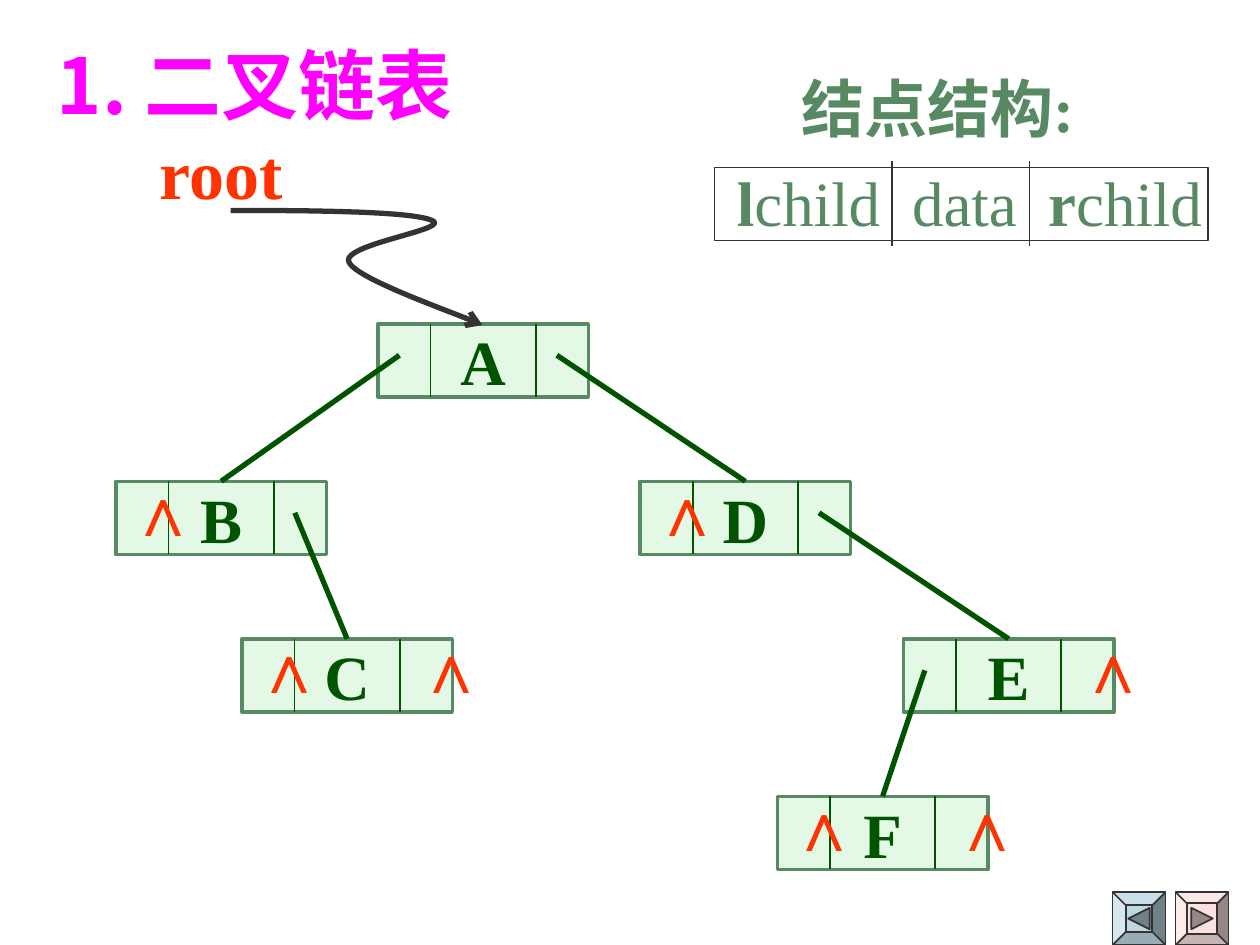
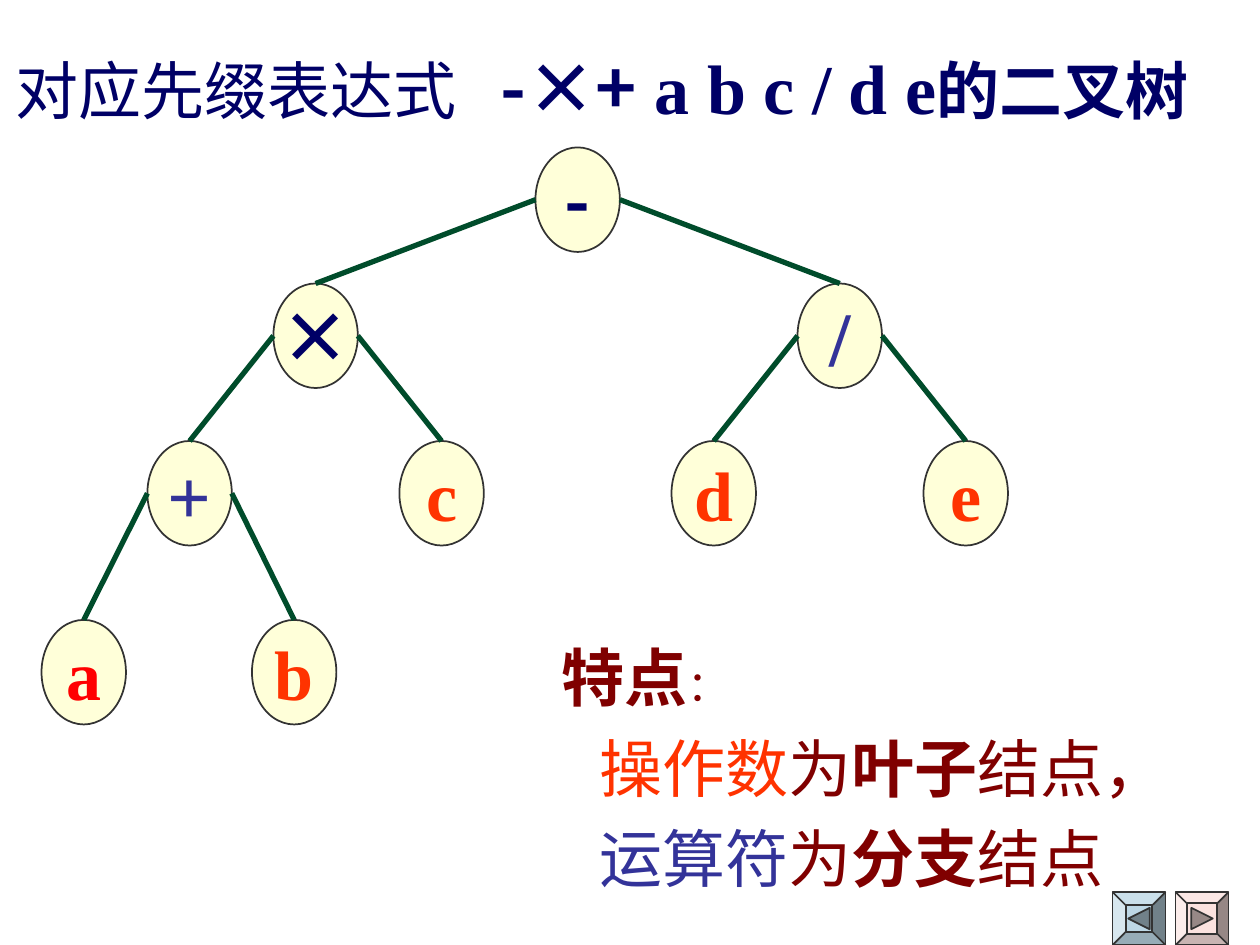
import pptx
import pptx.dml.color
import pptx.enum.dml
import pptx.enum.shapes
import pptx.enum.text
import pptx.oxml
import pptx.oxml.ns
import pptx.util
from lxml import etree

Inches = pptx.util.Inches
Pt = pptx.util.Pt
RGB = pptx.dml.color.RGBColor
SHAPE = pptx.enum.shapes.MSO_SHAPE
ALIGN = pptx.enum.text.PP_ALIGN
qn = pptx.oxml.ns.qn

SERIF = "Times New Roman"
SANS = "Arial"
CJK = "Noto Sans CJK SC"

INK = RGB(0x33, 0x33, 0x33)
DARK_GREEN = RGB(0x00, 0x54, 0x00)
EDGE_GREEN = RGB(0x00, 0x4C, 0x2B)
SAGE = RGB(0x57, 0x89, 0x63)
MINT = RGB(0xCA, 0xF2, 0xCE)
CREAM = RGB(0xFF, 0xFF, 0xD9)
ORANGE = RGB(0xFF, 0x33, 0x00)
RED = RGB(0xFF, 0x00, 0x00)
MAGENTA = RGB(0xFF, 0x00, 0xFF)
NAVY = RGB(0x00, 0x00, 0x66)
INDIGO = RGB(0x33, 0x33, 0x99)
MAROON = RGB(0x80, 0x00, 0x00)
BUTTON_BLUE = RGB(0xBD, 0xD7, 0xE5)
BUTTON_PINK = RGB(0xFB, 0xE2, 0xDF)
ARROW_BLUE = RGB(0x71, 0x81, 0x89)
ARROW_PINK = RGB(0x97, 0x88, 0x86)

RECORD_WIDTH, RECORD_HEIGHT = 1.67, 0.58
OVAL_WIDTH, OVAL_HEIGHT = 0.67, 0.83

LINKED_TREE = {
    "A": (3, 2.57, "B", "D"),
    "D": (5.08, 3.82, None, "E"),
    "E": (7.17, 5.07, "F", None),
    "B": (0.92, 3.82, None, "C"),
    "C": (1.92, 5.07, None, None),
    "F": (6.17, 6.32, None, None),
}

EXPRESSION_TREE = {
    "a": (0.33, 4.92, None, None, (40, RED)),
    "b": (2, 4.92, None, None, (40, ORANGE)),
    "c": (3.17, 3.5, None, None, (40, ORANGE)),
    "d": (5.33, 3.5, None, None, (40, ORANGE)),
    "e": (7.33, 3.5, None, None, (40, ORANGE)),
    "-": (4.25, 1.17, "×", "/", (40, NAVY, True, CJK)),
    "×": (2.17, 2.25, "+", "c", (40, NAVY, True, CJK)),
    "+": (1.17, 3.5, "a", "b", (44, INDIGO)),
    "/": (6.33, 2.25, "d", "e", (44, INDIGO)),
}


def add_run(paragraph, text, size, color, bold=True, font=SERIF):
    run = paragraph.add_run()
    run.text = text
    run.font.size = Pt(size)
    run.font.bold = bold
    run.font.color.rgb = color
    run.font.name = font
    east_asian = etree.SubElement(run._r.get_or_add_rPr(), qn("a:ea"))
    east_asian.set("typeface", CJK)


def set_tabs(paragraph, *stops):
    tab_list = etree.SubElement(paragraph._p.get_or_add_pPr(), qn("a:tabLst"))
    for stop in stops:
        tab = etree.SubElement(tab_list, qn("a:tab"))
        tab.set("pos", str(Inches(stop)))
        tab.set("algn", "l")


def fill_text(frame, paragraphs, spacing=None, tabs=(), hanging_indent=0):
    frame.word_wrap = False
    frame.auto_size = pptx.enum.text.MSO_AUTO_SIZE.SHAPE_TO_FIT_TEXT
    frame.vertical_anchor = pptx.enum.text.MSO_ANCHOR.TOP
    for index, runs in enumerate(paragraphs):
        paragraph = frame.add_paragraph() if index else frame.paragraphs[0]
        if index and hanging_indent:
            paragraph._p.get_or_add_pPr().set("marL", str(Inches(hanging_indent)))
        if tabs:
            set_tabs(paragraph, *tabs)
        paragraph.alignment = ALIGN.LEFT
        if spacing:
            paragraph.line_spacing = spacing
        for run in runs:
            add_run(paragraph, *run)


def add_label(slide, left, top, width, height, paragraphs, **options):
    label = slide.shapes.add_textbox(*map(Inches, (left, top, width, height)))
    fill_text(label.text_frame, paragraphs, **options)


def add_title(slide, left, top, width, height, runs, **options):
    title = slide.shapes.title
    title.left, title.top = Inches(left), Inches(top)
    title.width, title.height = Inches(width), Inches(height)
    fill_text(title.text_frame, [runs], spacing=1.2, **options)


def add_figure(slide, preset, left, top, width, height, fill, line, weight=1):
    figure = slide.shapes.add_shape(preset, *map(Inches, (left, top, width, height)))
    figure.shadow.inherit = False
    if fill is None:
        figure.fill.background()
    else:
        figure.fill.solid()
        figure.fill.fore_color.rgb = fill
    figure.line.color.rgb = line
    figure.line.width = Pt(weight)
    return figure


def add_node_text(node, *run):
    frame = node.text_frame
    frame.word_wrap = False
    frame.vertical_anchor = pptx.enum.text.MSO_ANCHOR.MIDDLE
    frame.paragraphs[0].alignment = ALIGN.CENTER
    add_run(frame.paragraphs[0], *run)


def add_line(slide, x1, y1, x2, y2, color, weight):
    line = slide.shapes.add_connector(
        pptx.enum.shapes.MSO_CONNECTOR.STRAIGHT, *map(Inches, (x1, y1, x2, y2)))
    line.line.color.rgb = color
    line.line.width = Pt(weight)
    etree.SubElement(line._element.spPr, qn("a:effectLst"))
    return line


def add_dividers(slide, positions, top, bottom, color):
    for x in positions:
        add_line(slide, x, top, x, bottom, color, 1)


def add_button(slide, left, fill, arrow_fill, bevel, turn):
    side, top, arrow = 0.42, 7.08, 0.17
    button = add_figure(slide, SHAPE.BEVEL, left, top, side, side, fill, INK)
    button.adjustments[0] = bevel
    inset = (side - arrow) / 2
    triangle = add_figure(slide, SHAPE.ISOSCELES_TRIANGLE, left + inset, top + inset,
                          arrow, arrow, arrow_fill, INK)
    triangle.rotation = turn


def add_navigation(slide):
    add_button(slide, 8.83, BUTTON_BLUE, ARROW_BLUE, 0.25, 270)
    add_button(slide, 9.33, BUTTON_PINK, ARROW_PINK, 0.21, 90)


def bezier_points(start, control1, control2, end, steps=24):
    for step in range(1, steps + 1):
        t = step / steps
        weights = ((1 - t) ** 3, 3 * t * (1 - t) ** 2, 3 * t * t * (1 - t), t ** 3)
        yield tuple(
            Inches(sum(w * point[axis] for w, point in
                       zip(weights, (start, control1, control2, end))))
            for axis in (0, 1))


def add_root_arrow(slide):
    start = (1.83, 1.67)
    curves = [
        ((2.56, 1.67), (3.28, 1.68), (3.43, 1.75)),
        ((3.59, 1.82), (2.7, 1.94), (2.77, 2.08)),
        ((2.83, 2.22), (3.66, 2.5), (3.83, 2.58)),
    ]
    builder = slide.shapes.build_freeform(*map(Inches, start))
    for control1, control2, end in curves:
        builder.add_line_segments(bezier_points(start, control1, control2, end), close=False)
        start = end
    arrow = builder.convert_to_shape()
    arrow.shadow.inherit = False
    arrow.fill.background()
    arrow.line.color.rgb = INK
    arrow.line.width = Pt(3)
    etree.SubElement(arrow.line._get_or_add_ln(), qn("a:tailEnd")).set("type", "arrow")


def add_record(slide, name, left, top):
    record = add_figure(slide, SHAPE.RECTANGLE, left, top, RECORD_WIDTH, RECORD_HEIGHT,
                        MINT, SAGE, 2)
    color = record._element.spPr.find(qn("a:solidFill"))[0]
    etree.SubElement(color, qn("a:alpha")).set("val", "50000")
    add_node_text(record, name, 36, DARK_GREEN)
    add_dividers(slide, (left + RECORD_WIDTH / 4, left + RECORD_WIDTH * 3 / 4),
                 top, top + RECORD_HEIGHT, DARK_GREEN)
    return record


def add_linked_tree(slide):
    records = {name: add_record(slide, name, left, top)
               for name, (left, top, *_) in LINKED_TREE.items()}
    for left, top, *children in LINKED_TREE.values():
        for child, nil_offset, link_offset in zip(children, (0, 1.29), (0.17, 1.42)):
            if child is None:
                add_label(slide, left + nil_offset, top - 0.17, 0.38, 0.77,
                          [[("∧", 40, ORANGE, True, SANS)]])
            else:
                child_left, child_top = LINKED_TREE[child][:2]
                link = add_line(slide, left + link_offset, top + 0.25,
                                child_left + RECORD_WIDTH / 2, child_top, DARK_GREEN, 3)
                link.end_connect(records[child], 0)


def add_expression_tree(slide):
    for symbol, (left, top, _, _, style) in EXPRESSION_TREE.items():
        oval = add_figure(slide, SHAPE.OVAL, left, top, OVAL_WIDTH, OVAL_HEIGHT, CREAM, INK)
        add_node_text(oval, symbol, *style)
    for left, top, *children, _ in EXPRESSION_TREE.values():
        for child, offset in zip(children, (0, OVAL_WIDTH)):
            if child:
                child_left, child_top = EXPRESSION_TREE[child][:2]
                add_line(slide, left + offset, top + OVAL_HEIGHT / 2,
                         child_left + OVAL_WIDTH / 2, child_top, EDGE_GREEN, 3)


def add_record_layout(slide):
    add_label(slide, 6.26, 0.5, 2.48, 0.7, [[("结点结构:", 36, SAGE)]])
    add_label(slide, 5.75, 1.25, 3.89, 0.7, [[
        ("l", 36, SAGE),
        ("child\tdata\t", 36, SAGE, False),
        ("r", 36, SAGE),
        ("child", 36, SAGE, False),
    ]], tabs=(1.39, 2.47))
    add_figure(slide, SHAPE.RECTANGLE, 5.67, 1.33, 3.92, 0.58, None, INK)
    add_dividers(slide, (7.08, 8.17), 1.28, 1.95, INK)


def build_linked_list_slide(slide):
    add_navigation(slide)
    add_title(slide, 0.35, 0.1, 3.71, 0.98, [("1. 二叉链表", 44, MAGENTA, True, CJK)])
    add_linked_tree(slide)
    add_root_arrow(slide)
    add_label(slide, 1.17, 0.98, 1.18, 0.77, [[("root", 40, ORANGE)]])
    add_record_layout(slide)


def build_expression_slide(slide):
    add_navigation(slide)
    add_title(slide, 0.02, 0.17, 9.93, 0.9, [
        ("对应先缀表达式\t", 36, NAVY, False),
        ("-×+", 40, NAVY, True, CJK),
        (" a b c / d e", 40, NAVY),
        ("的二叉树", 36, NAVY),
    ], tabs=(3.85,))
    add_expression_tree(slide)
    add_label(slide, 4.36, 4.9, 5, 2.26, [
        [("特点", 36, MAROON), ("：", 24, MAROON, False)],
        [("操作数", 36, ORANGE, False), ("为", 36, MAROON, False),
         ("叶子", 36, MAROON), ("结点，", 36, MAROON, False)],
        [("运算符", 36, INDIGO, False), ("为", 36, MAROON, False),
         ("分支", 36, MAROON), ("结点", 36, MAROON, False)],
    ], spacing=1.2, hanging_indent=0.3)


def main():
    presentation = pptx.Presentation()
    presentation.slide_width = Inches(10)
    presentation.slide_height = Inches(7.5)
    title_only = presentation.slide_layouts[5]
    for build in (build_linked_list_slide, build_expression_slide):
        build(presentation.slides.add_slide(title_only))
    presentation.save("out.pptx")


if __name__ == "__main__":
    main()
